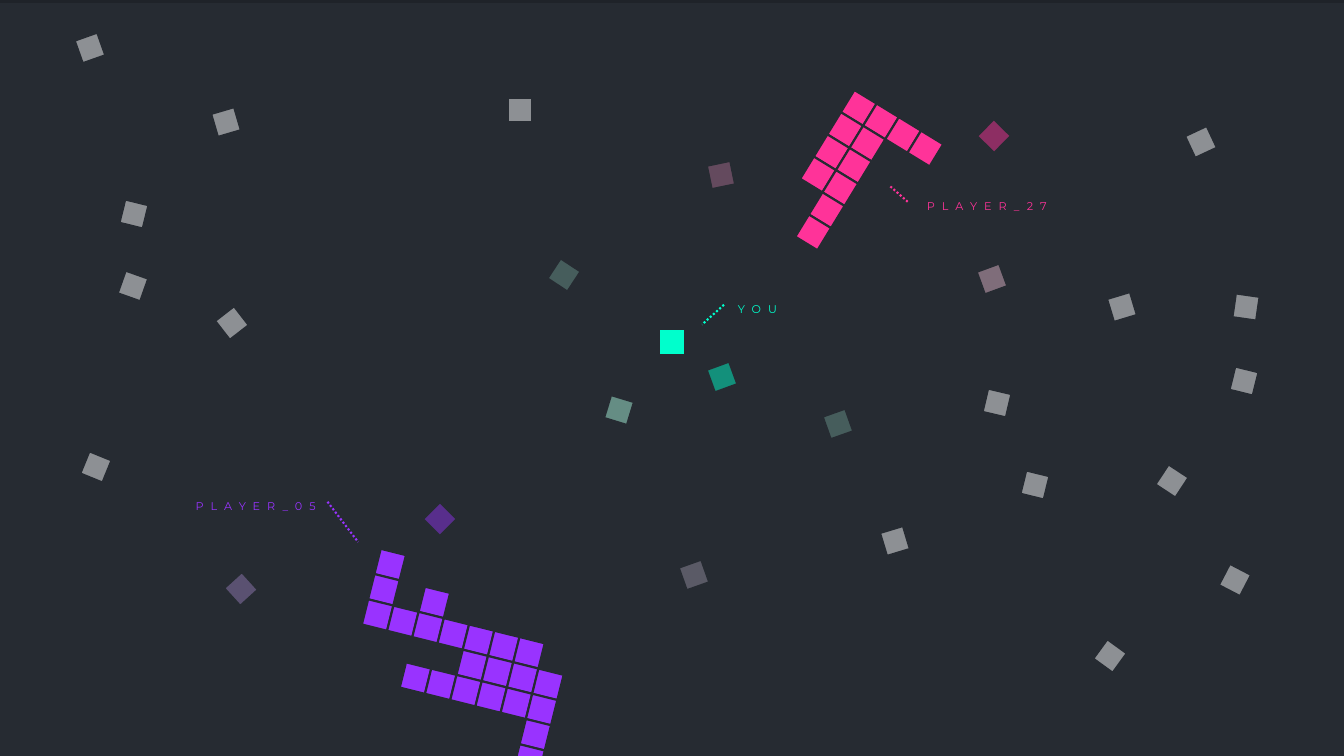
from math import cos, radians, sin
from pptx import Presentation
from pptx.dml.color import RGBColor
from pptx.enum.dml import MSO_LINE
from pptx.enum.shapes import MSO_SHAPE
from pptx.enum.text import MSO_ANCHOR, PP_ALIGN
from pptx.oxml.ns import qn
from pptx.util import Emu, Pt
from lxml import etree

RECT, CALLOUT = MSO_SHAPE.RECTANGLE, MSO_SHAPE.LINE_CALLOUT_1_NO_BORDER
DOTS, MIDDLE = MSO_LINE.ROUND_DOT, MSO_ANCHOR.MIDDLE
LEFT, RIGHT = PP_ALIGN.LEFT, PP_ALIGN.RIGHT

# Content, in pixels
W, H = 1344, 756
PX = 12192000 / W
BG, BAR = "262B32", "1F2329"
MINT, PINK, PURPLE = "00FFCC", "FF3399", "9933FF"
CELL, FOOD = 26, 24
YOU_AT = (659, 329)

# Food by (colour, opacity %): left, top, rotation
FOODS = {
    ("FFFFFF", 48): [
        (78, 36, 340.5), (122, 202, 13.8), (1023, 473, 13.8),
        (508, 98, 90), (214, 110, 163.7), (985, 391, 103.2),
        (1110, 295, 253.2), (883, 529, 253.2), (121, 274, 109.5),
        (220, 311, 232.2), (84, 455, 22.2), (1189, 130, 64.9),
        (1234, 295, 98.2), (1232, 369, 193.9), (1223, 568, 117.5),
        (1160, 469, 213.3), (1098, 644, 126)],
    ("92D2BE", 30): [(826, 412, 340.5), (552, 263, 123.3)],
    ("92D2BE", 59): [(607, 398, 197)],
    ("E2B6C9", 48): [(980, 267, 69.9)],
    ("9590A2", 47): [(682, 563, 340.5)],
    (MINT, 48): [(710, 365, 69.9)],
    ("FF99CC", 29): [(709, 163, 258.3)],
    (PURPLE, 44): [(428, 507, 225)],
    (PINK, 48): [(982, 124, 314.5)],
    ("937CB6", 48): [(229, 577, 137.7)],
}

# Players: colour, centre of first cell, tilt, cell map
PLAYERS = [
    (PINK, (858.8, 107.9), 31.4,
     ["XXXX", "XX", "XX", "XX", ".X", ".X"]),
    (PURPLE, (390.2, 564.6), 14,
     ["X", "X.X", "XXXXXXX", "....XXXX", "..XXXXXX",
      ".......X", ".......X"]),
]

# Labels: text, colour, box, leader end (y, x), alignment, mirrored
LABELS = [
    ("YOU", MINT, (730, 302, 72, 15), (1.505, -0.388), LEFT, False),
    ("PLAYER_27", PINK, (919, 199, 136, 15), (-0.919, -0.221), LEFT, False),
    ("PLAYER_05", PURPLE, (176, 499, 140, 15), (2.876, -0.302), RIGHT, True),
]
LEADER_START = (0.188, -0.083)
FRAME = dict(margin_left=Emu(round(8 * PX)), margin_top=0, margin_right=0,
             margin_bottom=0, vertical_anchor=MIDDLE, word_wrap=True)
FONT = dict(name="Montserrat", size=Pt(8))


def rgb(code):
    return RGBColor.from_string(code)


def set_all(obj, values):
    for name, value in values.items():
        setattr(obj, name, value)


def add_box(shapes, kind, box, fill=None, line=None):
    sp = shapes.add_shape(kind, *(Emu(round(v * PX)) for v in box))
    sp.shadow.inherit = False
    if fill:
        sp.fill.solid()
        sp.fill.fore_color.rgb = rgb(fill)
    else:
        sp.fill.background()
    if line:
        sp.line.color.rgb = rgb(line)
        sp.line.width = Pt(1.5)
    else:
        sp.line.fill.background()
    return sp


def add_square(shapes, left, top, size, color, turn=0, opacity=100):
    sp = add_box(shapes, RECT, (left, top, size, size), color, BG)
    sp.rotation = turn
    if opacity < 100:
        clr = sp._element.spPr.find(qn("a:solidFill"))[0]
        etree.SubElement(clr, qn("a:alpha"), val=str(opacity * 1000))


def add_player(shapes, color, origin, tilt, cells):
    group = shapes.add_group_shape()
    dx, dy = CELL * cos(radians(tilt)), CELL * sin(radians(tilt))
    for row, line in enumerate(cells):
        for col, mark in enumerate(line):
            if mark == "X":
                x = origin[0] + col * dx - row * dy
                y = origin[1] + col * dy + row * dx
                add_square(group.shapes, x - CELL / 2, y - CELL / 2,
                           CELL, color, tilt)


def add_label(shapes, text, color, box, end, align, mirrored):
    sp = add_box(shapes, CALLOUT, box, line=color)
    sp.line.dash_style = DOTS
    for i, value in enumerate(LEADER_START + end):
        sp.adjustments[i] = value
    if mirrored:
        sp._element.spPr.find(qn("a:xfrm")).set("flipH", "1")
    tf = sp.text_frame
    set_all(tf, FRAME)
    p = tf.paragraphs[0]
    p.alignment = align
    r = p.add_run()
    r.text = text
    set_all(r.font, FONT)
    r.font.color.rgb = rgb(color)
    r.font._element.set("spc", "500")


prs = Presentation()
prs.slide_width, prs.slide_height = Emu(round(W * PX)), Emu(round(H * PX))
s = prs.slides.add_slide(prs.slide_layouts[6])
s.background.fill.solid()
s.background.fill.fore_color.rgb = rgb(BG)

# Board
add_square(s.shapes, *YOU_AT, CELL, MINT)
for (color, opacity), spots in FOODS.items():
    for left, top, turn in spots:
        add_square(s.shapes, left, top, FOOD, color, turn, opacity)

# Players and their labels
for player in PLAYERS:
    add_player(s.shapes, *player)
for label in LABELS:
    add_label(s.shapes, *label)

# Top edge
add_box(s.shapes, RECT, (-8, -36, 1391, 39), BAR)

prs.save("out.pptx")
